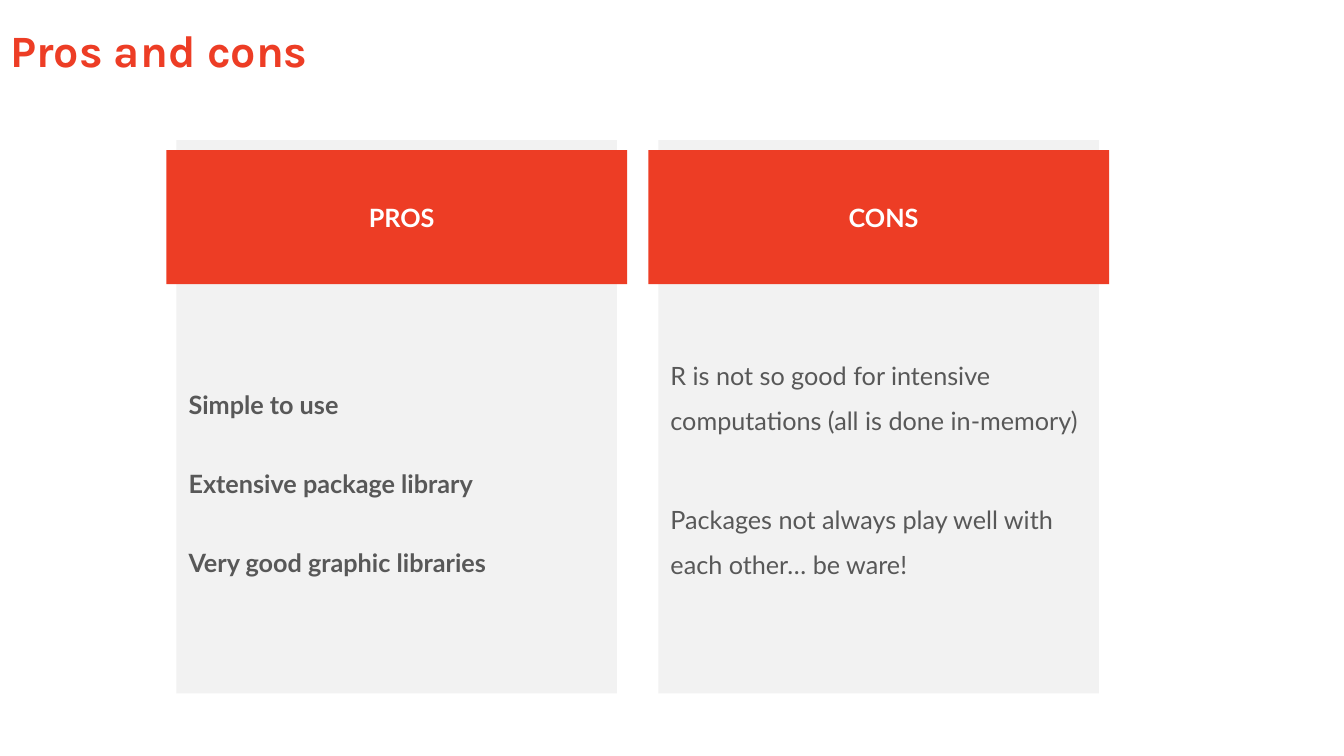
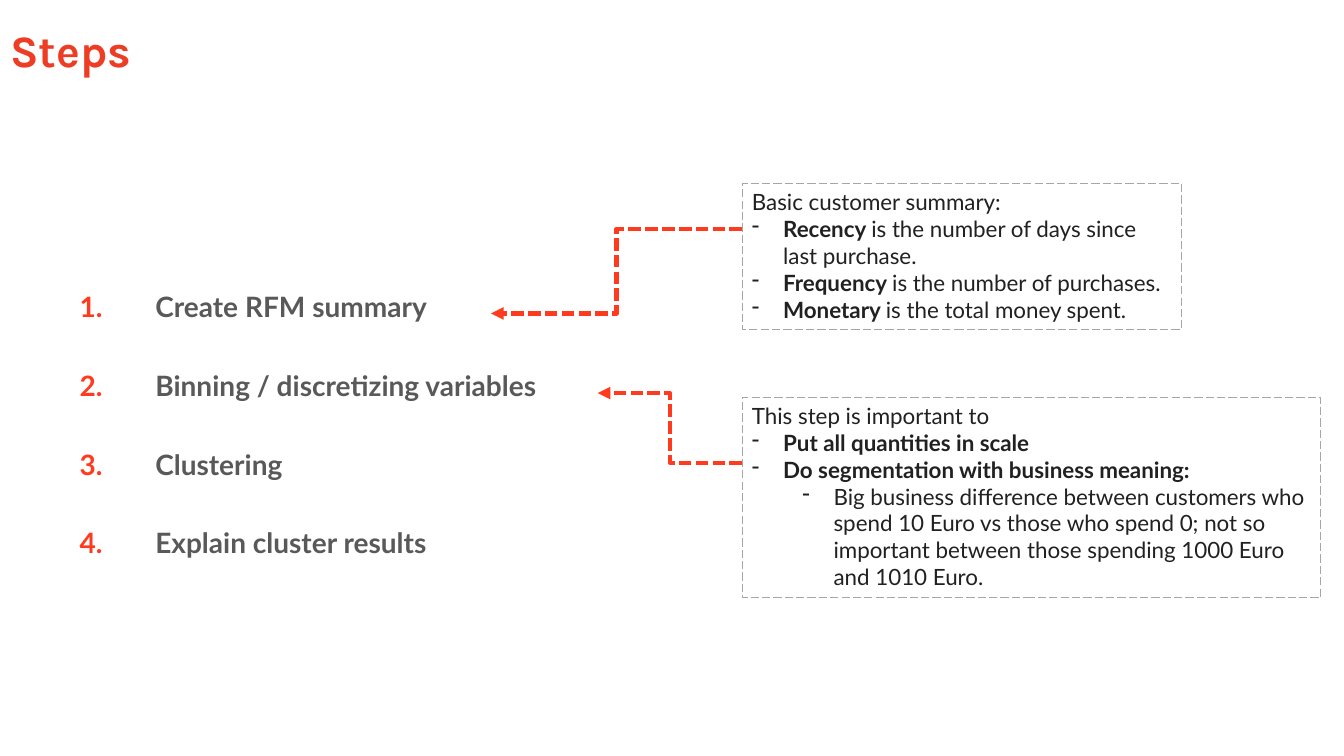
from lxml.etree import SubElement
from pptx import Presentation
from pptx.dml.color import RGBColor
from pptx.enum.dml import MSO_LINE_DASH_STYLE as Dash
from pptx.enum.shapes import MSO_CONNECTOR as Connector
from pptx.enum.shapes import MSO_SHAPE as Shape
from pptx.enum.text import MSO_ANCHOR as Anchor
from pptx.enum.text import MSO_AUTO_SIZE as AutoSize
from pptx.enum.text import PP_ALIGN as Align
from pptx.oxml.ns import qn
from pptx.util import Inches, Pt

COLORS = {
    "title": "ED3D25", "accent": "FF3B1F", "panel": "F2F2F2", "body": "585858",
    "step": "595959", "note": "212121", "border": "A6A6A6", "white": "FFFFFF",
}
TITLE_FONT, BODY_FONT = "Karla", "Lato"
TITLE_BOX = (0, 0.27, 11.72, 0.52)
HANG = 0.31
LEVEL_STEP = 0.5

PANEL_LEFT, PANEL_TOP, PANEL_PITCH = 1.75, 1.39, 4.78
PANEL_WIDTH, PANEL_HEIGHT = 4.37, 5.49
PANELS = [
    {"heading": "PROS", "bold": True, "inset": 2.32, "gap": 24,
     "points": ["Simple to use", "Extensive package library", "Very good graphic libraries"]},
    {"heading": "CONS", "bold": False, "inset": 2.03, "gap": 38.4,
     "points": ["R is not so good for intensive computations (all is done in-memory)",
                "Packages not always play well with each other… be ware!"]},
]

STEPS = ["Create RFM summary", "Binning / discretizing variables", "Clustering",
         "Explain cluster results"]
NOTES = [
    {"box": (7.36, 1.82, 4.36, 1.45), "arrow": (2.27, 4.87, 3.11),
     "lead": "Basic customer summary:",
     "items": [(0, "Recency ", "is the number of days since last purchase."),
               (0, "Frequency ", "is the number of purchases."),
               (0, "Monetary ", "is the total money spent.")]},
    {"box": (7.36, 3.94, 5.74, 1.99), "arrow": (4.59, 5.93, 3.9),
     "lead": "This step is important to",
     "items": [(0, "Put all quantities in scale", ""),
               (0, "Do segmentation with business meaning:", ""),
               (1, "", "Big business difference between customers who spend 10 Euro vs those "
                       "who spend 0; not so important between those spending 1000 Euro and "
                       "1010 Euro.")]},
]


def color(name):
    """Return the named palette colour."""
    return RGBColor.from_string(COLORS[name])


def format_runs(paragraph, size, fill, bold=False, font=BODY_FONT):
    """Give every run of a paragraph the same type style."""
    for run in paragraph.runs:
        run.font.name = font
        run.font.size = Pt(size)
        run.font.bold = bold
        run.font.color.rgb = color(fill)


def set_insets(frame, left, top, right, bottom):
    """Set the four inner margins of a text frame in inches."""
    frame.margin_left, frame.margin_top = Inches(left), Inches(top)
    frame.margin_right, frame.margin_bottom = Inches(right), Inches(bottom)


def add_box(slide, box, fill=None):
    """Add a flat rectangle without an outline."""
    shape = slide.shapes.add_shape(Shape.RECTANGLE, *map(Inches, box))
    shape.shadow.inherit = False
    shape.line.fill.background()
    if fill:
        shape.fill.solid()
        shape.fill.fore_color.rgb = color(fill)
    else:
        shape.fill.background()
    shape.text_frame.word_wrap = True
    return shape


def add_titled_slide(presentation, text):
    """Add a title-only slide with the shared title style."""
    slide = presentation.slides.add_slide(presentation.slide_layouts[5])
    title = slide.shapes.title
    title.left, title.top, title.width, title.height = map(Inches, TITLE_BOX)
    frame = title.text_frame
    frame.text = text
    frame.auto_size = AutoSize.NONE
    frame.vertical_anchor = Anchor.MIDDLE
    paragraph = frame.paragraphs[0]
    paragraph.alignment = Align.LEFT
    paragraph.line_spacing = 0.9
    format_runs(paragraph, 32, "title", True, TITLE_FONT)
    return slide


def add_panel(slide, panel, left, top, width, height):
    """Add a grey panel of points with a wider heading band across it."""
    body = add_box(slide, (left, top, width, height), "panel")
    frame = body.text_frame
    set_insets(frame, 0.12, panel["inset"], 0.12, 0.05)
    frame.vertical_anchor = Anchor.TOP
    frame.text = "\n".join(panel["points"])
    for index, paragraph in enumerate(frame.paragraphs):
        paragraph.alignment = Align.LEFT
        paragraph.line_spacing = 1.5
        paragraph.space_before = Pt(panel["gap"] if index else 0)
        format_runs(paragraph, 18, "body", panel["bold"])

    band = add_box(slide, (left - 0.1, top + 0.1, width + 0.2, 1.33), "title")
    set_insets(band.text_frame, 0.1, 0, 0, 0)
    band.text_frame.vertical_anchor = Anchor.MIDDLE
    band.text_frame.text = panel["heading"]
    heading = band.text_frame.paragraphs[0]
    heading.alignment = Align.CENTER
    format_runs(heading, 18, "white", True)


def add_steps(slide, left, top, width, height):
    """Add the numbered steps as a plain two-column table."""
    table = slide.shapes.add_table(
        len(STEPS), 2, *map(Inches, (left, top, width, height))).table
    table.first_row = table.horz_banding = False
    number_width = 0.75
    table.columns[0].width = Inches(number_width)
    table.columns[1].width = Inches(width - number_width)
    for row, step in enumerate(STEPS):
        for column, (text, fill) in enumerate([(f"{row + 1}.", "accent"), (step, "step")]):
            cell = table.cell(row, column)
            cell.fill.background()
            cell.vertical_anchor = Anchor.MIDDLE
            cell.text = text
            format_runs(cell.text_frame.paragraphs[0], 20, fill, True)


def set_dash_bullet(paragraph, level):
    """Give a paragraph a hanging dash at the given level."""
    paragraph.level = level
    properties = paragraph._p.get_or_add_pPr()
    properties.set("marL", str(Inches(HANG + level * LEVEL_STEP)))
    properties.set("indent", str(-Inches(HANG)))
    SubElement(properties, qn("a:buChar")).set("char", "-")


def add_note(slide, note):
    """Add a dashed note box and the elbow arrow to its step."""
    shape = add_box(slide, note["box"])
    shape.line.color.rgb = color("border")
    shape.line.width = Pt(0.75)
    shape.line.dash_style = Dash.LONG_DASH
    frame = shape.text_frame
    frame.auto_size = AutoSize.SHAPE_TO_FIT_TEXT
    frame.vertical_anchor = Anchor.TOP
    frame.text = note["lead"]
    frame.paragraphs[0].alignment = Align.LEFT
    format_runs(frame.paragraphs[0], 16, "note")
    for level, strong, plain in note["items"]:
        paragraph = frame.add_paragraph()
        paragraph.alignment = Align.LEFT
        set_dash_bullet(paragraph, level)
        for text in filter(None, (strong, plain)):
            paragraph.add_run().text = text
        format_runs(paragraph, 16, "note")
        if strong:
            paragraph.runs[0].font.bold = True
    add_elbow_arrow(slide, note["box"][0], *note["arrow"])


def add_elbow_arrow(slide, start_x, start_y, end_x, end_y):
    """Add a dashed elbow connector with a triangle at its end."""
    arrow = slide.shapes.add_connector(
        Connector.ELBOW, *map(Inches, (start_x, start_y, end_x, end_y)))
    arrow.line.color.rgb = color("accent")
    arrow.line.width = Pt(3)
    arrow.line.dash_style = Dash.SQUARE_DOT
    SubElement(arrow.line._get_or_add_ln(), qn("a:tailEnd")).set("type", "triangle")
    SubElement(arrow._element.spPr, qn("a:effectLst"))


def build_comparison(presentation):
    """Build the slide that sets pros beside cons."""
    slide = add_titled_slide(presentation, "Pros and cons")
    for index, panel in enumerate(PANELS):
        add_panel(slide, panel, PANEL_LEFT + index * PANEL_PITCH, PANEL_TOP,
                  PANEL_WIDTH, PANEL_HEIGHT)


def build_steps(presentation):
    """Build the slide of steps with explanatory notes."""
    slide = add_titled_slide(presentation, "Steps")
    add_steps(slide, 0.69, 2.65, 11.72, 3.13)
    for note in NOTES:
        add_note(slide, note)


def main():
    """Build and save the presentation."""
    presentation = Presentation()
    presentation.slide_width, presentation.slide_height = Inches(13.33), Inches(7.5)
    build_comparison(presentation)
    build_steps(presentation)
    presentation.save("out.pptx")


if __name__ == "__main__":
    main()
